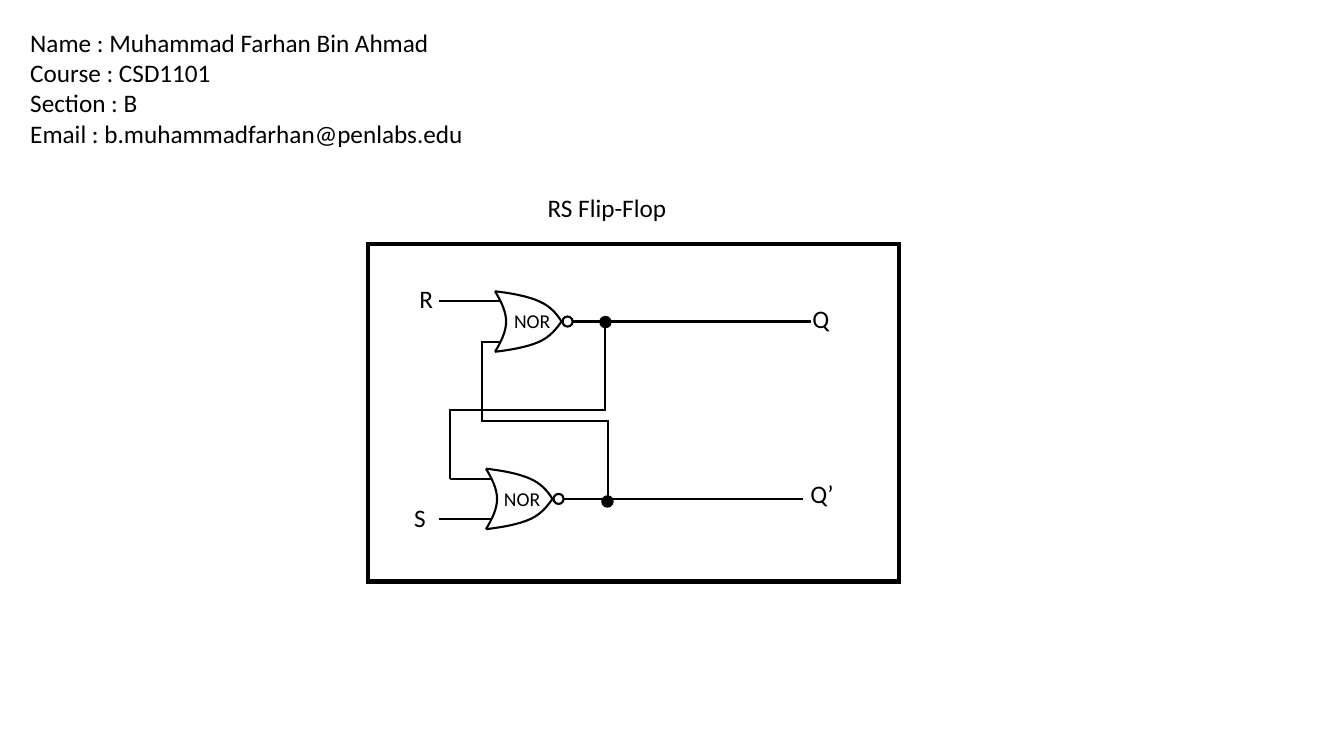
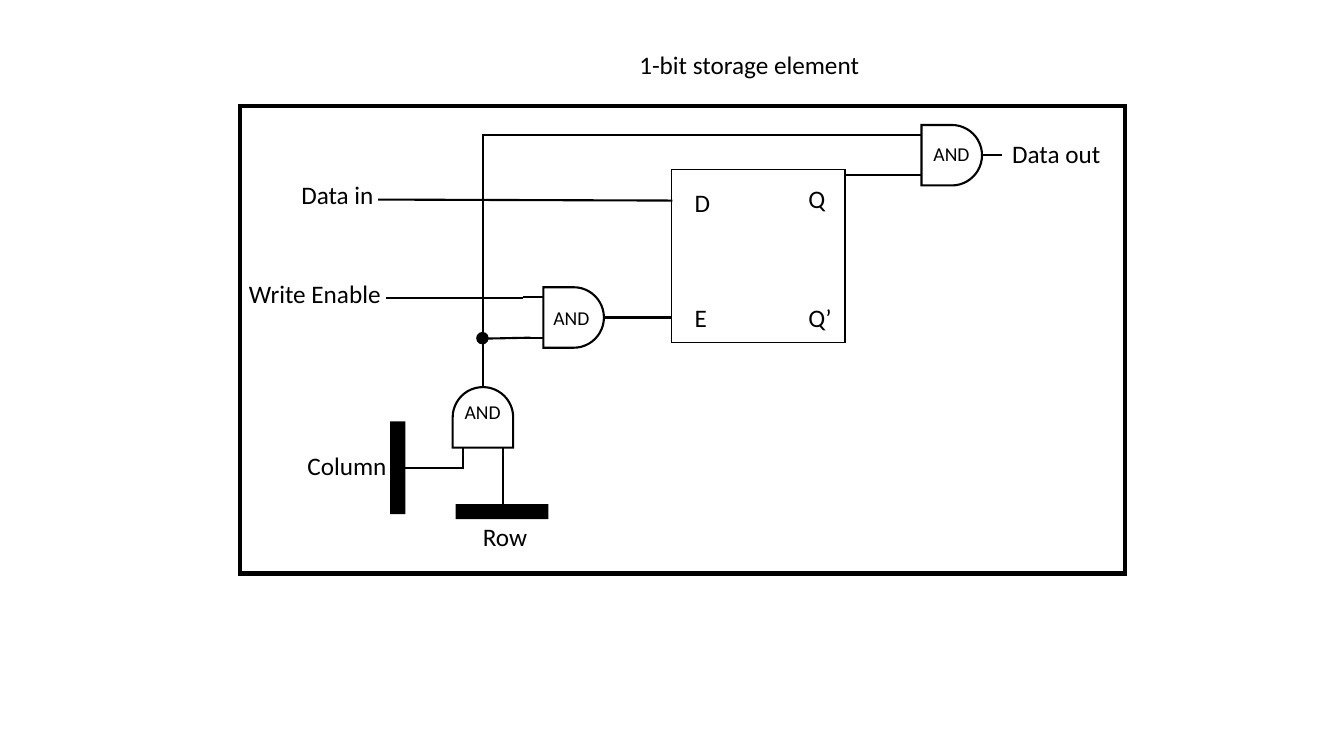
from dataclasses import dataclass
from typing import Any, Callable

from lxml.etree import SubElement
from pptx import Presentation
from pptx.dml.color import RGBColor
from pptx.enum.shapes import MSO_CONNECTOR, MSO_SHAPE
from pptx.enum.text import MSO_ANCHOR, MSO_AUTO_SIZE, PP_ALIGN
from pptx.oxml.ns import qn
from pptx.util import Inches, Pt

Point = tuple[float, float]


@dataclass(frozen=True)
class Theme:
    ink: RGBColor = RGBColor(0, 0, 0)
    paper: RGBColor = RGBColor(255, 255, 255)
    font: str = "Calibri"
    label_size: int = 18
    gate_size: int = 14
    frame_line: float = 3
    wire_line: float = 1.5
    thin_line: float = 1


@dataclass(frozen=True)
class Area:
    left: float
    top: float
    width: float
    height: float

    def lengths(self) -> list[int]:
        return [Inches(value) for value in (self.left, self.top, self.width, self.height)]


@dataclass(frozen=True)
class Label:
    text: str
    left: float
    top: float
    width: float = 0.35
    height: float = 0.4
    size: int = Theme.label_size


@dataclass(frozen=True)
class Wire:
    start: Point
    end: Point


@dataclass(frozen=True)
class Elbow:
    start: Point
    end: Point
    preset: str
    adjustments: tuple[int, ...]
    rotation: int = 0


@dataclass(frozen=True)
class Gate:
    left: float
    top: float
    label: Point
    upright: bool = False


THEME = Theme()
GATE = 0.6
LEAD = 0.2
INPUTS = (0.1, 0.5)
NOR_TIP = 0.66
NOR_CURVES = (
    ((0, 0), (0.17, 0.02), (0.33, 0.05), (0.44, 0.1), (0.55, 0.15), (0.61, 0.22), (0.66, 0.3)),
    ((0, 0.6), (0.17, 0.58), (0.33, 0.55), (0.44, 0.5), (0.55, 0.45), (0.61, 0.37), (0.66, 0.3)),
    ((0, 0), (0.06, 0.1), (0.11, 0.2), (0.11, 0.3), (0.11, 0.4), (0.06, 0.5), (0, 0.6)),
)


def apply(target: Any, values: dict[str, Any]) -> None:
    for name, value in values.items():
        setattr(target, name, value)


def draw_outline(shape: Any, width: float) -> None:
    shape.line.color.rgb = THEME.ink
    shape.line.width = Pt(width)
    SubElement(shape.element.spPr.find(qn("a:ln")), qn("a:miter"), lim="800000")


def draw_shape(shapes: Any, preset: MSO_SHAPE, area: Area, fill: RGBColor | None = None,
               width: float = THEME.wire_line) -> Any:
    shape = shapes.add_shape(preset, *area.lengths())
    shape.shadow.inherit = False
    if fill is None:
        shape.fill.background()
    else:
        shape.fill.solid()
        shape.fill.fore_color.rgb = fill
    if width:
        draw_outline(shape, width)
    else:
        shape.line.fill.background()
    return shape


def draw_connector(shapes: Any, kind: MSO_CONNECTOR, start: Point, end: Point) -> Any:
    connector = shapes.add_connector(kind, *(Inches(value) for value in (*start, *end)))
    draw_outline(connector, THEME.wire_line)
    SubElement(connector.element.spPr, qn("a:effectLst"))
    return connector


def draw_wire(shapes: Any, wire: Wire) -> None:
    draw_connector(shapes, MSO_CONNECTOR.STRAIGHT, wire.start, wire.end)


def draw_elbow(shapes: Any, elbow: Elbow) -> None:
    connector = draw_connector(shapes, MSO_CONNECTOR.ELBOW, elbow.start, elbow.end)
    properties = connector.element.spPr
    geometry = properties.find(qn("a:prstGeom"))
    geometry.set("prst", elbow.preset)
    guides = geometry.find(qn("a:avLst"))
    for number, value in enumerate(elbow.adjustments, 1):
        SubElement(guides, qn("a:gd"), name=f"adj{number}", fmla=f"val {value}")
    if elbow.rotation:
        properties.find(qn("a:xfrm")).set("rot", str(elbow.rotation * 60000))


def draw_curve(shapes: Any, points: list[Point]) -> None:
    corners = [tuple(Inches(value) for value in point) for point in points]
    builder = shapes.build_freeform(*corners[0])
    builder.add_line_segments(corners[1:], close=False)
    curve = builder.convert_to_shape()
    curve.shadow.inherit = False
    curve.fill.background()
    draw_outline(curve, THEME.wire_line)
    outline = next(curve.element.iter(qn("a:path")))
    segments = outline.findall(qn("a:lnTo"))
    for first in range(0, len(segments), 3):
        bezier = SubElement(outline, qn("a:cubicBezTo"))
        for segment in segments[first:first + 3]:
            bezier.append(segment[0])
            outline.remove(segment)


def write(box: Any, lines: list[str], size: int, align: PP_ALIGN = PP_ALIGN.LEFT) -> None:
    frame = box.text_frame
    apply(frame, {"word_wrap": True, "auto_size": MSO_AUTO_SIZE.NONE,
                  "vertical_anchor": MSO_ANCHOR.TOP})
    for index, text in enumerate(lines):
        para = frame.add_paragraph() if index else frame.paragraphs[0]
        apply(para, {"alignment": align, "space_before": Pt(0), "space_after": Pt(0)})
        span = para.add_run()
        span.text = text
        apply(span.font, {"name": THEME.font, "size": Pt(size), "bold": False})
        span.font.color.rgb = THEME.ink


def draw_label(shapes: Any, label: Label) -> None:
    area = Area(label.left, label.top, label.width, label.height)
    write(shapes.add_textbox(*area.lengths()), [label.text], label.size)


def fill_placeholder(box: Any, area: Area, lines: list[str],
                     align: PP_ALIGN = PP_ALIGN.LEFT) -> None:
    apply(box, dict(zip(("left", "top", "width", "height"), area.lengths())))
    write(box, lines, THEME.label_size, align)
    for properties in box.element.iter(qn("a:pPr")):
        for name in ("marL", "indent"):
            properties.set(name, "0")
        SubElement(properties, qn("a:buNone"))


def draw_dot(shapes: Any, left: float, top: float) -> None:
    draw_shape(shapes, MSO_SHAPE.OVAL, Area(left, top, 0.11, 0.11), THEME.ink, THEME.thin_line)


def draw_frame(shapes: Any, area: Area) -> None:
    draw_shape(shapes, MSO_SHAPE.RECTANGLE, area, width=THEME.frame_line)


def draw_leads(shapes: Any, place: Callable[[float, float], Point],
               tip: float, input_end: float) -> None:
    draw_wire(shapes, Wire(place(tip, GATE / 2), place(tip + LEAD, GATE / 2)))
    for height in INPUTS:
        draw_wire(shapes, Wire(place(input_end - LEAD, height), place(input_end, height)))


def draw_gate_name(shapes: Any, gate: Gate, name: str) -> None:
    draw_label(shapes, Label(name, *gate.label, 0.68, 0.34, THEME.gate_size))


def draw_nor(shapes: Any, gate: Gate) -> None:
    def place(across: float, down: float) -> Point:
        return gate.left + across, gate.top + down

    group = shapes.add_group_shape().shapes
    draw_leads(group, place, NOR_TIP, 0.06)
    draw_shape(group, MSO_SHAPE.OVAL, Area(*place(0.67, 0.25), 0.1, 0.1), THEME.paper)
    for curve in NOR_CURVES:
        draw_curve(group, [place(*point) for point in curve])
    draw_gate_name(shapes, gate, "NOR")


def draw_and(shapes: Any, gate: Gate) -> None:
    def place(across: float, down: float) -> Point:
        if gate.upright:
            across, down = down, GATE - across
        return gate.left + across, gate.top + down

    group = shapes.add_group_shape().shapes
    body = draw_shape(group, MSO_SHAPE.FLOWCHART_DELAY, Area(gate.left, gate.top, GATE, GATE))
    body.rotation = 270 if gate.upright else 0
    draw_leads(group, place, GATE, 0)
    draw_gate_name(shapes, gate, "AND")


def build_flip_flop(deck: Any) -> None:
    page = deck.slides.add_slide(deck.slide_layouts[1])
    shapes = page.shapes
    fill_placeholder(shapes.title, Area(4.87, 1.86, 2.3, 0.4), ["RS Flip-Flop"], PP_ALIGN.CENTER)
    fill_placeholder(page.placeholders[1], Area(0.2, 0.22, 5.2, 1.31), [
        "Name : Muhammad Farhan Bin Ahmad",
        "Course : CSD1101",
        "Section : B",
        "Email : b.muhammadfarhan@penlabs.edu",
    ])
    for wire in (
        Wire((5.76, 3.19), (8.04, 3.19)),
        Wire((4.35, 5.15), (4.83, 5.15)),
        Wire((4.46, 4.75), (4.68, 4.75)),
        Wire((5.68, 4.95), (7.96, 4.95)),
        Wire((4.35, 2.99), (4.77, 2.99)),
    ):
        draw_wire(shapes, wire)
    for elbow in (
        Elbow((5.77, 3.19), (4.46, 4.75), "bentConnector4", (-17900, 56400)),
        Elbow((4.62, 4.8), (6.19, 3.55), "bentConnector3", (50000,), 270),
    ):
        draw_elbow(shapes, elbow)
    for gate in (Gate(4.91, 2.89, (5, 3.02)), Gate(4.82, 4.65, (4.9, 4.78))):
        draw_nor(shapes, gate)
    for left, top in ((5.97, 4.92), (5.95, 3.14)):
        draw_dot(shapes, left, top)
    for label in (
        Label("Q", 7.96, 2.96),
        Label("Q’", 7.94, 4.7, 0.6),
        Label("R", 4.06, 2.76),
        Label("S", 4.01, 4.93),
    ):
        draw_label(shapes, label)
    draw_frame(shapes, Area(3.65, 2.42, 5.27, 3.35))


def build_storage(deck: Any) -> None:
    page = deck.slides.add_slide(deck.slide_layouts[5])
    shapes = page.shapes
    fill_placeholder(shapes.title, Area(6.24, 0.44, 2.55, 0.4), ["1-bit storage element"])
    draw_shape(shapes, MSO_SHAPE.RECTANGLE, Area(6.66, 1.68, 1.72, 1.72),
               THEME.paper, THEME.thin_line)
    for wire in (
        Wire((8.39, 1.74), (8.95, 1.74)),
        Wire((4.78, 1.34), (8.97, 1.34)),
        Wire((3.75, 1.98), (6.67, 1.99)),
        Wire((6.19, 3.15), (6.67, 3.15)),
        Wire((4.79, 1.33), (4.79, 3.81)),
        Wire((3.83, 2.96), (5.19, 2.96)),
        Wire((4.78, 3.36), (5.26, 3.35)),
        Wire((4.01, 4.64), (4.6, 4.64)),
        Wire((4.99, 4.64), (4.99, 5.01)),
    ):
        draw_wire(shapes, wire)
    for gate in (
        Gate(9.14, 1.24, (9.16, 1.36)),
        Gate(5.39, 2.85, (5.39, 2.99)),
        Gate(4.49, 3.84, (4.51, 3.92), upright=True),
    ):
        draw_and(shapes, gate)
    draw_dot(shapes, 4.73, 3.3)
    for bar in (Area(3.87, 4.18, 0.15, 0.92), Area(4.52, 5, 0.92, 0.15)):
        draw_shape(shapes, MSO_SHAPE.RECTANGLE, bar, THEME.ink, 0)
    for label in (
        Label("D", 6.79, 1.81),
        Label("E", 6.79, 2.95),
        Label("Q", 7.92, 1.77),
        Label("Q’", 7.92, 2.95, 0.47),
        Label("Column", 2.95, 4.42, 1.05),
        Label("Row", 4.69, 5.12, 1.05),
        Label("Write Enable", 2.37, 2.71, 1.57),
        Label("Data in", 2.89, 1.73, 1.57),
        Label("Data out", 9.94, 1.32, 1.57),
    ):
        draw_label(shapes, label)
    draw_frame(shapes, Area(2.38, 1.05, 8.78, 4.64))


deck = Presentation()
apply(deck, {"slide_width": Inches(13.33), "slide_height": Inches(7.5)})
build_flip_flop(deck)
build_storage(deck)
deck.save("out.pptx")
